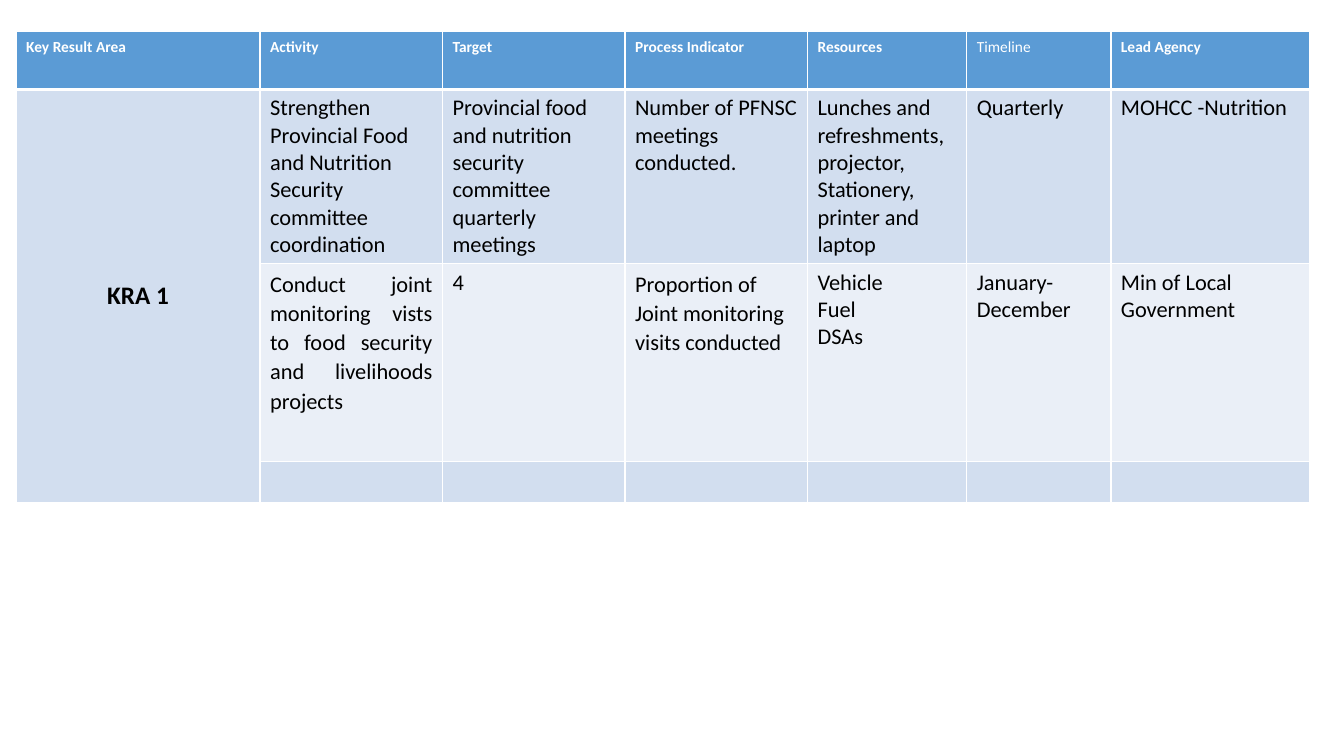
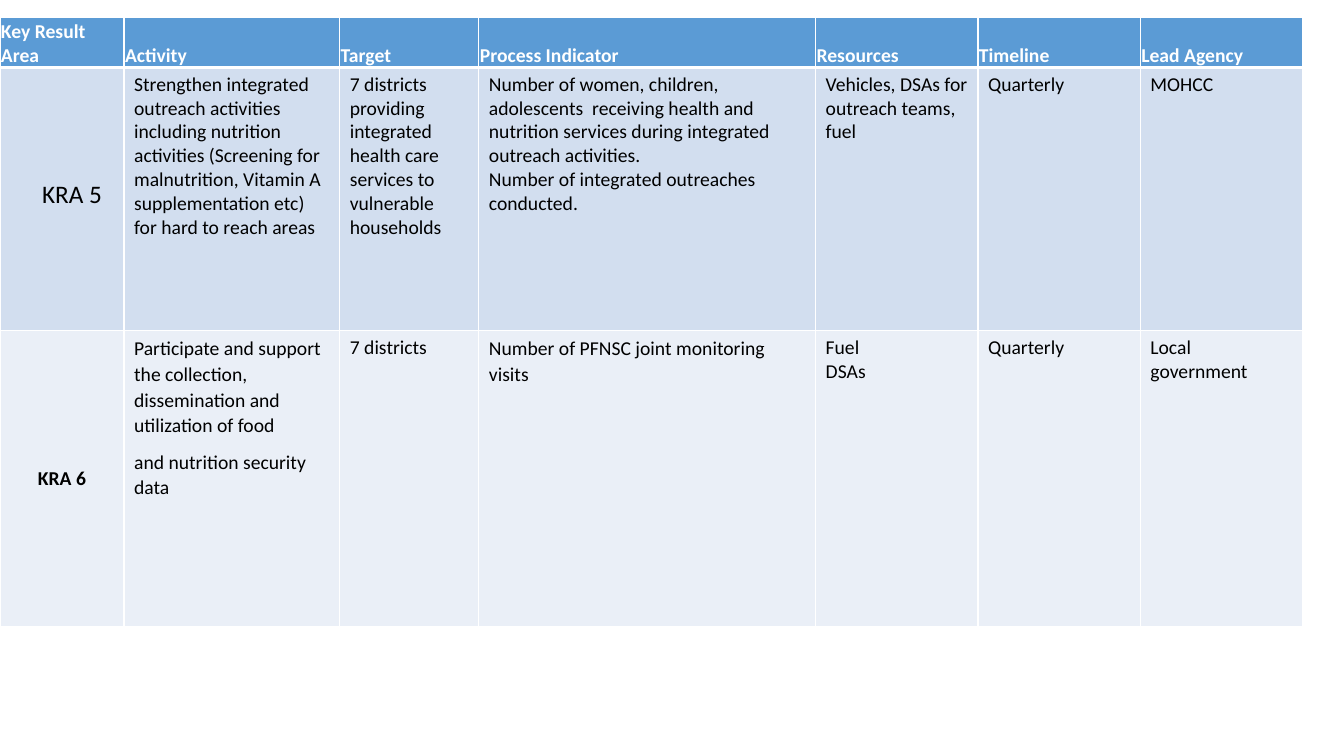
from dataclasses import dataclass, field
from typing import Any

from lxml import etree
from pptx import Presentation
from pptx.dml.color import RGBColor
from pptx.enum.text import MSO_ANCHOR, PP_ALIGN
from pptx.oxml.ns import qn
from pptx.util import Inches, Pt

CENTER, JUSTIFY = PP_ALIGN.CENTER, PP_ALIGN.JUSTIFY
TOP, MIDDLE, BOTTOM = MSO_ANCHOR.TOP, MSO_ANCHOR.MIDDLE, MSO_ANCHOR.BOTTOM

WIDTH, HEIGHT = Inches(13.33), Inches(7.5)
FONT = "Calibri"
WHITE, BLACK, BLUE = "FFFFFF", "000000", "5B9BD5"
BANDS = ("D2DEEF", "EAEFF7")
THIN, THICK = 1, 3
HEADINGS = ("Key Result Area", "Activity", "Target", "Process Indicator",
            "Resources", "Timeline", "Lead Agency")
LOOSE = {"line_spacing": 1.07, "space_after": Pt(8)}
TIGHT_MARGINS = {"margin_left": Inches(0.01), "margin_right": Inches(0.01),
                 "margin_top": Inches(0.01), "margin_bottom": 0}


@dataclass(frozen=True)
class Style:
    color: str = BLACK
    font: dict[str, Any] = field(default_factory=dict)
    para: dict[str, Any] = field(default_factory=dict)
    cell: dict[str, Any] = field(default_factory=dict)


@dataclass(frozen=True)
class Entry:
    text: str
    style: Style


@dataclass(frozen=True)
class Plan:
    left: float
    top: float
    columns: tuple[float, ...]
    rows: tuple[float, ...]
    size: int
    entries: tuple[tuple[Entry, ...], ...]
    key_span: int = 1


PLAIN = Style()
SPACED = Style(para=LOOSE)
JUSTIFIED = Style(para={**LOOSE, "alignment": JUSTIFY})
KEY = Style(font={"bold": True}, para={"alignment": CENTER},
            cell={"vertical_anchor": MIDDLE})
LARGE_KEY = Style(font={"bold": True, "size": Pt(18)}, para=KEY.para, cell=KEY.cell)
LABEL = Style(font={"size": Pt(18)})
HEAD = Style(WHITE, {"bold": True, "size": Pt(11)}, LOOSE)
LIGHT_HEAD = Style(WHITE, {"size": Pt(11)}, LOOSE)
LOW_HEAD = Style(WHITE, {"bold": True}, cell={"vertical_anchor": BOTTOM, **TIGHT_MARGINS})


def plain(*texts: str) -> tuple[Entry, ...]:
    return tuple(Entry(text, PLAIN) for text in texts)


COORDINATION = Plan(
    left=1.2, top=4.1,
    columns=(18.15, 13.58, 13.58, 13.58, 11.85, 10.73, 14.78),
    rows=(7.73, 23.07, 26.13, 5.47),
    size=16,
    key_span=3,
    entries=(
        tuple(Entry(text, LIGHT_HEAD if text == "Timeline" else HEAD) for text in HEADINGS),
        (Entry("KRA 1", LARGE_KEY), *plain(
            "Strengthen Provincial Food and Nutrition Security committee coordination",
            "Provincial food and nutrition security committee quarterly meetings",
            "Number of PFNSC meetings conducted.",
            "Lunches and refreshments, projector, Stationery, printer and laptop",
            "Quarterly", "MOHCC -Nutrition")),
        (*plain(""),
         Entry("Conduct joint monitoring vists to food security and livelihoods projects",
               JUSTIFIED),
         *plain("4"),
         Entry("Proportion of Joint monitoring visits conducted", SPACED),
         *plain("Vehicle\nFuel\nDSAs", "January- December", "Min of Local Government")),
        plain(*[""] * len(HEADINGS)),
    ),
)

OUTREACH = Plan(
    left=0, top=2.27,
    columns=(9.23, 16.05, 10.35, 25.06, 12.08, 12.08, 12.08),
    rows=(6.67, 34.8, 39.2),
    size=14,
    entries=(
        tuple(Entry(text, LOW_HEAD) for text in HEADINGS),
        plain(
            "",
            "Strengthen integrated outreach activities including nutrition activities "
            "(Screening for malnutrition, Vitamin A supplementation etc) "
            "for hard to reach areas",
            "7 districts providing integrated health care services to vulnerable households",
            "Number of women, children, adolescents  receiving health and nutrition "
            "services during integrated outreach activities.\n"
            "Number of integrated outreaches conducted.",
            "Vehicles, DSAs for outreach teams, fuel",
            "Quarterly", "MOHCC"),
        (Entry("KRA 6", KEY),
         Entry("Participate and support the collection, dissemination and utilization of food\n"
               "and nutrition security data", SPACED),
         *plain("7 districts"),
         Entry("Number of PFNSC joint monitoring visits", SPACED),
         *plain("Fuel\nDSAs", "Quarterly", "Local government")),
    ),
)


def rgb(value: str) -> RGBColor:
    return RGBColor.from_string(value)


def across(share: float) -> int:
    return round(WIDTH * share / 100)


def down(share: float) -> int:
    return round(HEIGHT * share / 100)


def apply(target: Any, values: dict[str, Any]) -> None:
    for name, value in values.items():
        setattr(target, name, value)


def write(frame: Any, entry: Entry, size: int) -> None:
    style = entry.style
    for index, text in enumerate(entry.text.split("\n")):
        para = frame.add_paragraph() if index else frame.paragraphs[0]
        apply(para, style.para)
        if text:
            span = para.add_run()
            span.text = text
            apply(span.font, {"name": FONT, "size": Pt(size), "bold": False, **style.font})
            span.font.color.rgb = rgb(style.color)


def add_borders(cell: Any, row: int) -> None:
    widths = {"lnL": THIN, "lnR": THIN,
              "lnT": THICK if row == 1 else THIN,
              "lnB": THICK if row == 0 else THIN}
    properties = cell._tc.get_or_add_tcPr()
    for tag, width in widths.items():
        line = etree.SubElement(properties, qn(f"a:{tag}"), w=str(Pt(width)))
        fill = etree.SubElement(line, qn("a:solidFill"))
        etree.SubElement(fill, qn("a:srgbClr"), val=WHITE)


def draw_table(page: Any, plan: Plan) -> None:
    table = page.shapes.add_table(
        len(plan.rows), len(plan.columns), across(plan.left), down(plan.top),
        across(sum(plan.columns)), down(sum(plan.rows))).table
    apply(table, {"first_row": False, "horz_banding": False})
    for column, share in zip(table.columns, plan.columns):
        column.width = across(share)
    for row, share in zip(table.rows, plan.rows):
        row.height = down(share)
    for row, entries in enumerate(plan.entries):
        for column, entry in enumerate(entries):
            cell = table.cell(row, column)
            add_borders(cell, row)
            cell.fill.solid()
            cell.fill.fore_color.rgb = rgb(BANDS[(row - 1) % 2] if row else BLUE)
            apply(cell, {"vertical_anchor": TOP, **entry.style.cell})
            write(cell.text_frame, entry, plan.size)
    if plan.key_span > 1:
        table.cell(1, 0).merge(table.cell(plan.key_span, 0))


def draw_label(page: Any, entry: Entry, left: float, top: float,
               width: float, height: float) -> None:
    box = page.shapes.add_textbox(across(left), down(top), across(width), down(height))
    box.text_frame.word_wrap = True
    write(box.text_frame, entry, 18)


def main() -> None:
    deck = Presentation()
    apply(deck, {"slide_width": WIDTH, "slide_height": HEIGHT})
    blank = deck.slide_layouts[6]
    draw_table(deck.slides.add_slide(blank), COORDINATION)
    outreach_page = deck.slides.add_slide(blank)
    draw_table(outreach_page, OUTREACH)
    draw_label(outreach_page, Entry("KRA 5", LABEL), 2.4, 22.93, 6.45, 5.33)
    deck.save("out.pptx")


if __name__ == "__main__":
    main()
